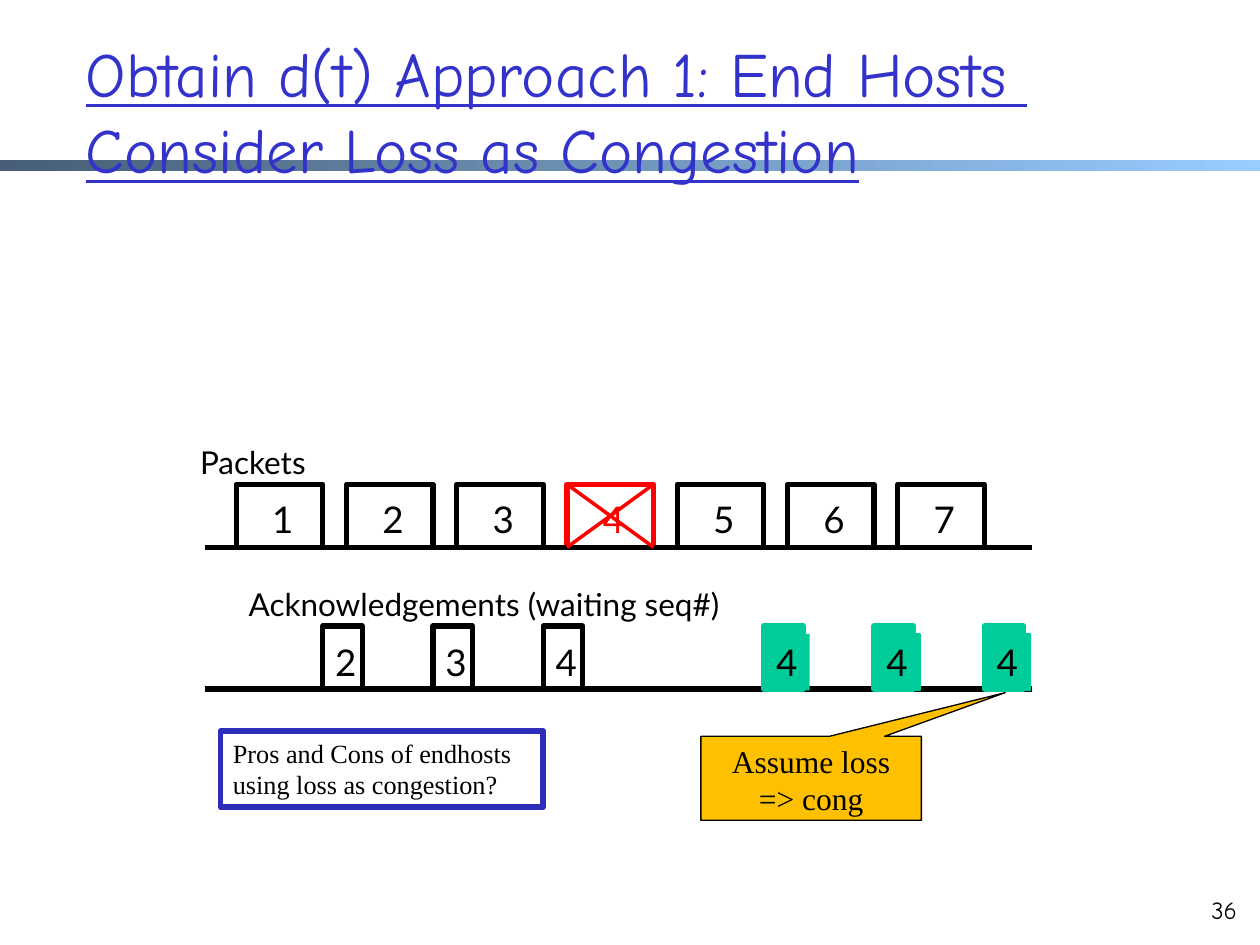
from dataclasses import dataclass
from lxml import etree
from pptx import Presentation
from pptx.dml.color import RGBColor
from pptx.enum.shapes import MSO_CONNECTOR, MSO_SHAPE
from pptx.enum.text import MSO_ANCHOR, MSO_AUTO_SIZE, PP_ALIGN
from pptx.oxml.ns import qn
from pptx.util import Pt

RECT = MSO_SHAPE.RECTANGLE
CALLOUT = MSO_SHAPE.RECTANGULAR_CALLOUT
STRAIGHT = MSO_CONNECTOR.STRAIGHT
TOP, MIDDLE = MSO_ANCHOR.TOP, MSO_ANCHOR.MIDDLE
LEFT, CENTER, RIGHT = PP_ALIGN.LEFT, PP_ALIGN.CENTER, PP_ALIGN.RIGHT
GROW = MSO_AUTO_SIZE.SHAPE_TO_FIT_TEXT
SCALE = 9525


@dataclass(frozen=True)
class Font:
    name: str
    size: int
    color: str = "000000"
    under: bool = False


@dataclass(frozen=True)
class Theme:
    black: str = "000000"
    red: str = "FF0000"
    green: str = "00CC99"
    amber: str = "FFC000"
    navy: str = "2D2DB9"
    dark: str = "475E76"
    light: str = "99CCFF"
    title: Font = Font("Comic Neue", 36, "3333CC", True)
    page: Font = Font("Comic Neue", 14)
    label: Font = Font("Lato", 18)
    digit: Font = Font("Lato", 21)
    lost: Font = Font("Lato", 21, "FF0000")
    call: Font = Font("Times New Roman", 18)
    note: Font = Font("Times New Roman", 15)


class Deck:
    def __init__(self, theme, width, height):
        self.theme = theme
        self.deck = Presentation()
        self.deck.slide_width = width * SCALE
        self.deck.slide_height = height * SCALE
        self.slide = self.deck.slides.add_slide(self.deck.slide_layouts[6])

    def box(self, area, fill=None, line=None, width=3, kind=RECT):
        shape = self.slide.shapes.add_shape(kind, *(n * SCALE for n in area))
        shape.shadow.inherit = False
        for part, color in ((shape.fill, fill), (shape.line.fill, line)):
            if color:
                part.solid()
                part.fore_color.rgb = RGBColor.from_string(color)
            else:
                part.background()
        if line:
            shape.line.width = Pt(width)
        return shape

    def band(self, area, colors):
        shape = self.box(area)
        shape.fill.gradient()
        shape.fill.gradient_angle = 0
        for stop, color in zip(shape.fill.gradient_stops, colors):
            stop.color.rgb = RGBColor.from_string(color)

    def line(self, start, end, color, width):
        ends = (n * SCALE for n in (*start, *end))
        link = self.slide.shapes.add_connector(STRAIGHT, *ends)
        link.line.color.rgb = RGBColor.from_string(color)
        link.line.width = Pt(width)
        etree.SubElement(link._element.spPr, qn("a:effectLst"))

    def put(self, shape, lines, font, align=LEFT, anchor=TOP, wrap=True, grow=False):
        frame = shape.text_frame
        frame.word_wrap = wrap
        frame.vertical_anchor = anchor
        if grow:
            frame.auto_size = GROW
        para = frame.paragraphs[0]
        para.alignment = align
        for i, line in enumerate(lines):
            if i:
                para.add_line_break()
            run = para.add_run()
            run.text = line
            run.font.name = font.name
            run.font.size = Pt(font.size)
            run.font.underline = font.under
            run.font.color.rgb = RGBColor.from_string(font.color)

    def text(self, area, lines, font, **style):
        shape = self.slide.shapes.add_textbox(*(n * SCALE for n in area))
        self.put(shape, lines, font, **style)

    def label(self, area, word, font):
        self.text(area, [word], font, wrap=False, grow=True)

    def callout(self, area, tip, lines, font):
        shape = self.box(area, self.theme.amber, self.theme.black, 0.75, CALLOUT)
        shape.adjustments[0], shape.adjustments[1] = tip
        frame = shape.text_frame
        frame.margin_left = frame.margin_right = 7 * SCALE
        frame.margin_top = frame.margin_bottom = 4 * SCALE
        self.put(shape, lines, font, align=CENTER)

    def save(self):
        self.deck.save("out.pptx")


def main():
    theme = Theme()
    deck = Deck(theme, 960, 720)
    step, start, end = 84, 156, 786

    deck.band((0, 122, 960, 8), (theme.dark, theme.light))
    title = ["Obtain d(t) Approach 1: End Hosts ", "Consider Loss as Congestion"]
    deck.text((56, 24, 842, 120), title, theme.title, anchor=MIDDLE)

    deck.label((143, 333, 100, 38), "Packets", theme.label)
    for i in range(7):
        lost = i == 3
        left = 180 + i * step
        deck.box((left, 369, 66, 48), line=theme.red if lost else theme.black)
        font = theme.lost if lost else theme.digit
        deck.label((left + 18, 374, 35, 43), str(i + 1), font)
    deck.line((start, 417), (end, 417), theme.black, 3)
    deck.line((432, 417), (498, 369), theme.red, 2)
    deck.line((432, 369), (498, 417), theme.red, 2)

    deck.label((180, 441, 391, 38), "Acknowledgements (waiting seq#)", theme.label)
    deck.line((start, 525), (end, 525), theme.black, 3)
    for i, seq in ((0, 2), (1, 3), (2, 4), (4, 4), (5, 4), (6, 4)):
        left = 246 + i * step
        spot = (left, 483, 35, 43)
        again = i > 2
        fill = theme.green if again else None
        deck.box((left, 477, 30, 48), fill, fill or theme.black)
        if again:
            tag = deck.box(spot, fill, fill if i > 4 else None, 0.75)
            deck.put(tag, [str(seq)], theme.digit, wrap=False, grow=True)
        else:
            deck.label(spot, str(seq), theme.digit)

    deck.callout((534, 561, 168, 64), (0.88, -1.02), ["Assume loss", "=> cong"], theme.call)
    note = deck.box((168, 557, 246, 58), line=theme.navy, width=3.25)
    ask = "Pros and Cons of endhosts using loss as congestion?"
    deck.put(note, [ask], theme.note, grow=True)
    deck.text((908, 677, 44, 36), ["36"], theme.page, align=RIGHT)
    deck.save()


if __name__ == "__main__":
    main()
